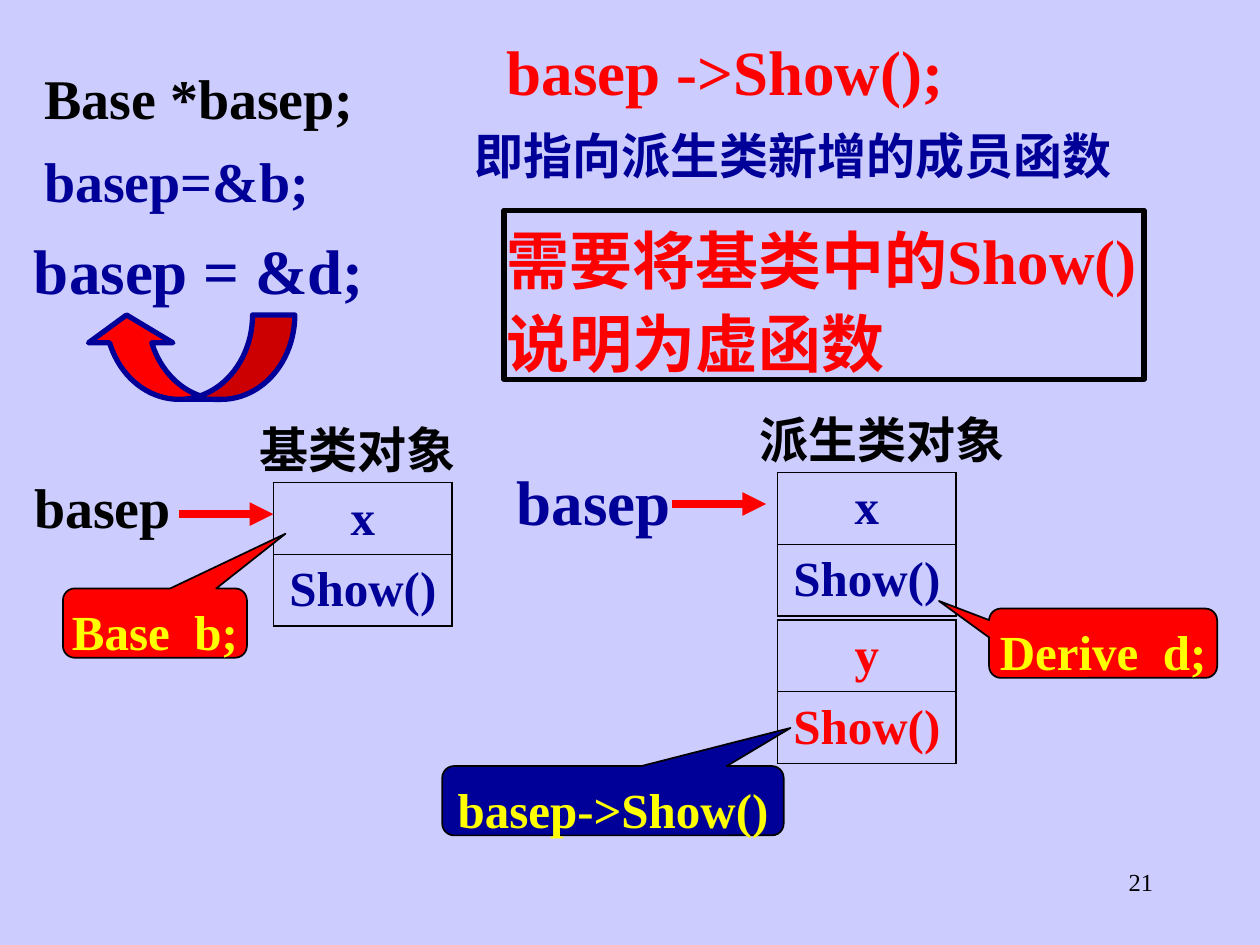
"""Build the slide on base-class pointers and virtual functions."""
from dataclasses import dataclass

from lxml import etree
from pptx import Presentation
from pptx.dml.color import RGBColor
from pptx.enum import shapes, text
from pptx.oxml import ns
from pptx.util import Inches, Pt


@dataclass(frozen=True)
class Theme:
    font: str = "Times New Roman"
    back: str = "CCCCFF"
    black: str = "000000"
    blue: str = "000099"
    red: str = "FF0000"
    yellow: str = "FFFF00"
    large: int = 36
    medium: int = 32
    small: int = 28
    number: int = 14


@dataclass(frozen=True)
class Label:
    text: str
    box: tuple[float, float, float, float]
    size: int
    color: str
    align: str = "LEFT"


@dataclass(frozen=True)
class Callout:
    text: str
    box: tuple[float, float, float, float]
    tip: tuple[float, float]
    fill: str


@dataclass(frozen=True)
class Members:
    left: float
    top: float
    names: tuple[str, str]
    color: str


T = Theme()
TITLE = Label("basep ->Show();", (4, 0.17, 4.5, 0.68), T.large, T.red)
LABELS = (
    Label("基类对象", (2, 3.25, 1.67, 0.54), T.small, T.black, "CENTER"),
    Label("派生类对象", (6, 3.17, 2, 0.54), T.small, T.black, "CENTER"),
    Label("basep", (0.25, 3.67, 1.25, 0.61), T.medium, T.black),
    Label("basep", (4.08, 3.58, 1.42, 0.68), T.large, T.blue),
    Label("Base *basep;", (0.33, 0.42, 3, 0.61), T.medium, T.black),
    Label("basep=&b;", (0.33, 1.08, 3, 0.61), T.medium, T.blue),
    Label("basep = &d;", (0.25, 1.75, 2.67, 0.68), T.large, T.blue),
    Label("即指向派生类新增的成员函数", (3.75, 0.92, 5.67, 0.54), T.small, T.blue),
)
CONCLUSION = Label("需要将基类中的Show()说明为虚函数", (4, 1.67, 5.08, 1.34), T.large, T.red)
TABLES = (
    Members(2.17, 3.83, ("x", "Show()"), T.blue),
    Members(6.17, 3.75, ("x", "Show()"), T.blue),
    Members(6.17, 4.92, ("y", "Show()"), T.red),
)
CALLOUTS = (
    Callout("Base  b;", (0.5, 4.67, 1.46, 0.55), (0.71, -1.29), T.red),
    Callout("Derive  d;", (7.85, 4.83, 1.81, 0.55), (-0.72, -0.61), T.red),
    Callout("basep->Show()", (3.51, 6.08, 2.71, 0.55), (0.52, -1.05), T.blue),
)
ARROWS = ((1.42, 4.08), (5.33, 4))


def rgb(color: str) -> RGBColor:
    """Turn a hex string into a colour."""
    return RGBColor.from_string(color)


def write(tf, content: str, *, size: int, color: str, align: str = "LEFT", bold: bool = True,
          spacing: float = 1.1, wrap: bool = True, anchor: str = "TOP",
          insets: tuple[float, float] = (0.02, 0.03)) -> None:
    """Fill a text frame with one formatted paragraph."""
    tf.auto_size = text.MSO_AUTO_SIZE.NONE
    tf.word_wrap = wrap
    tf.vertical_anchor = text.MSO_ANCHOR[anchor]
    tf.margin_left = tf.margin_right = Inches(insets[0])
    tf.margin_top, tf.margin_bottom = Inches(insets[1]), Inches(0)
    write_paragraph(tf.paragraphs[0], content, size, color, align, bold, spacing)


def write_paragraph(p, content: str, size: int, color: str, align: str, bold: bool,
                    spacing: float) -> None:
    """Fill and format one paragraph."""
    p.alignment = text.PP_ALIGN[align]
    p.line_spacing = spacing
    r = p.add_run()
    r.text = content
    r.font.name, r.font.size, r.font.bold = T.font, Pt(size), bold
    r.font.color.rgb = rgb(color)


def add_label(slide, label: Label) -> None:
    """Add a text box."""
    sp = slide.shapes.add_textbox(*map(Inches, label.box))
    write(sp.text_frame, label.text, size=label.size, color=label.color, align=label.align)


def add_outlined(slide, kind: str, box: tuple[float, float, float, float], *,
                 fill: str | None, line: str, width: float, adjust: tuple[float, ...] = ()):
    """Add a preset shape with a plain fill and outline."""
    sp = slide.shapes.add_shape(shapes.MSO_SHAPE[kind], *map(Inches, box))
    sp.shadow.inherit = False
    if fill:
        sp.fill.solid()
        sp.fill.fore_color.rgb = rgb(fill)
    else:
        sp.fill.background()
    sp.line.color.rgb, sp.line.width = rgb(line), Pt(width)
    for i, value in enumerate(adjust):
        sp.adjustments[i] = value
    return sp


def add_callout(slide, callout: Callout) -> None:
    """Add a rounded callout."""
    sp = add_outlined(slide, "ROUNDED_RECTANGULAR_CALLOUT", callout.box, fill=callout.fill,
                      line=T.black, width=1, adjust=(*callout.tip, 0.17))
    write(sp.text_frame, callout.text, size=T.small, color=T.yellow, align="CENTER", wrap=False)


def add_border(cell, side: str, width: float) -> None:
    """Draw one border of a table cell."""
    ln = etree.SubElement(cell._tc.get_or_add_tcPr(), ns.qn(f"a:ln{side}"), w=str(Pt(width)))
    fill = etree.SubElement(ln, ns.qn("a:solidFill"))
    etree.SubElement(fill, ns.qn("a:srgbClr"), val=T.black)


def add_members(slide, members: Members) -> None:
    """Add a one-column table of class members."""
    table = slide.shapes.add_table(2, 1, *map(Inches, (members.left, members.top, 1.42, 1.14))).table
    table.first_row = table.horz_banding = False
    for i, name in enumerate(members.names):
        cell = table.cell(i, 0)
        for side in "LRTB":
            add_border(cell, side, 0.45 if side == "BT"[i] else 1.08)
        cell.fill.background()
        cell.vertical_anchor = text.MSO_ANCHOR.MIDDLE
        write_paragraph(cell.text_frame.paragraphs[0], name, T.small, members.color,
                        "CENTER", True, 1.0)


def add_arrow(slide, left: float, top: float) -> None:
    """Add a horizontal pointer arrow."""
    ends = map(Inches, (left, top, left + 0.75, top))
    sp = slide.shapes.add_connector(shapes.MSO_CONNECTOR.STRAIGHT, *ends)
    sp.line.color.rgb, sp.line.width = rgb(T.red), Pt(4.5)
    etree.SubElement(sp.line._get_or_add_ln(), ns.qn("a:tailEnd"), type="triangle")
    etree.SubElement(sp._element.spPr, ns.qn("a:effectLst"))


def main() -> None:
    """Build and save the slide."""
    prs = Presentation()
    prs.slide_width, prs.slide_height = Inches(10), Inches(7.5)
    slide = prs.slides.add_slide(prs.slide_layouts[5])
    slide.background.fill.solid()
    slide.background.fill.fore_color.rgb = rgb(T.back)

    title = slide.shapes.title
    title.left, title.top, title.width, title.height = map(Inches, TITLE.box)
    write(title.text_frame, TITLE.text, size=TITLE.size, color=TITLE.color)

    for label in LABELS:
        add_label(slide, label)
    for arrow in ARROWS:
        add_arrow(slide, *arrow)
    for members in TABLES:
        add_members(slide, members)
    for callout in CALLOUTS:
        add_callout(slide, callout)

    turn = add_outlined(slide, "CURVED_UP_ARROW", (0.67, 2.5, 1.67, 0.67), fill=T.red,
                        line=T.blue, width=3, adjust=(0.5, 1, 0.33))
    turn._element.spPr.xfrm.set("flipH", "1")
    frame = add_outlined(slide, "RECTANGLE", CONCLUSION.box, fill=None, line=T.black, width=3)
    write(frame.text_frame, CONCLUSION.text, size=CONCLUSION.size, color=CONCLUSION.color)

    number = slide.shapes.add_textbox(*map(Inches, (7.17, 6.83, 2.08, 0.5)))
    write(number.text_frame, "21", size=T.number, color=T.black, align="RIGHT", bold=False,
          spacing=1.0, insets=(0.1, 0.05))
    prs.save("out.pptx")


if __name__ == "__main__":
    main()
